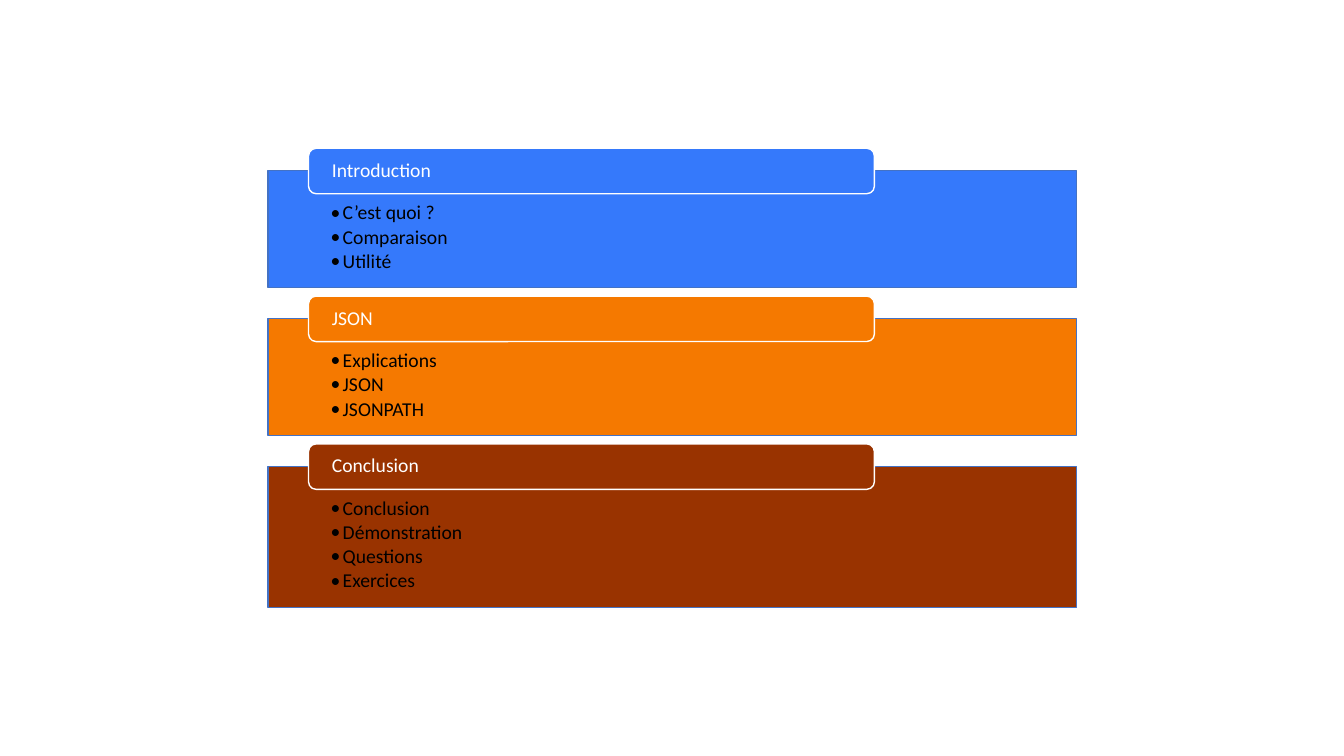
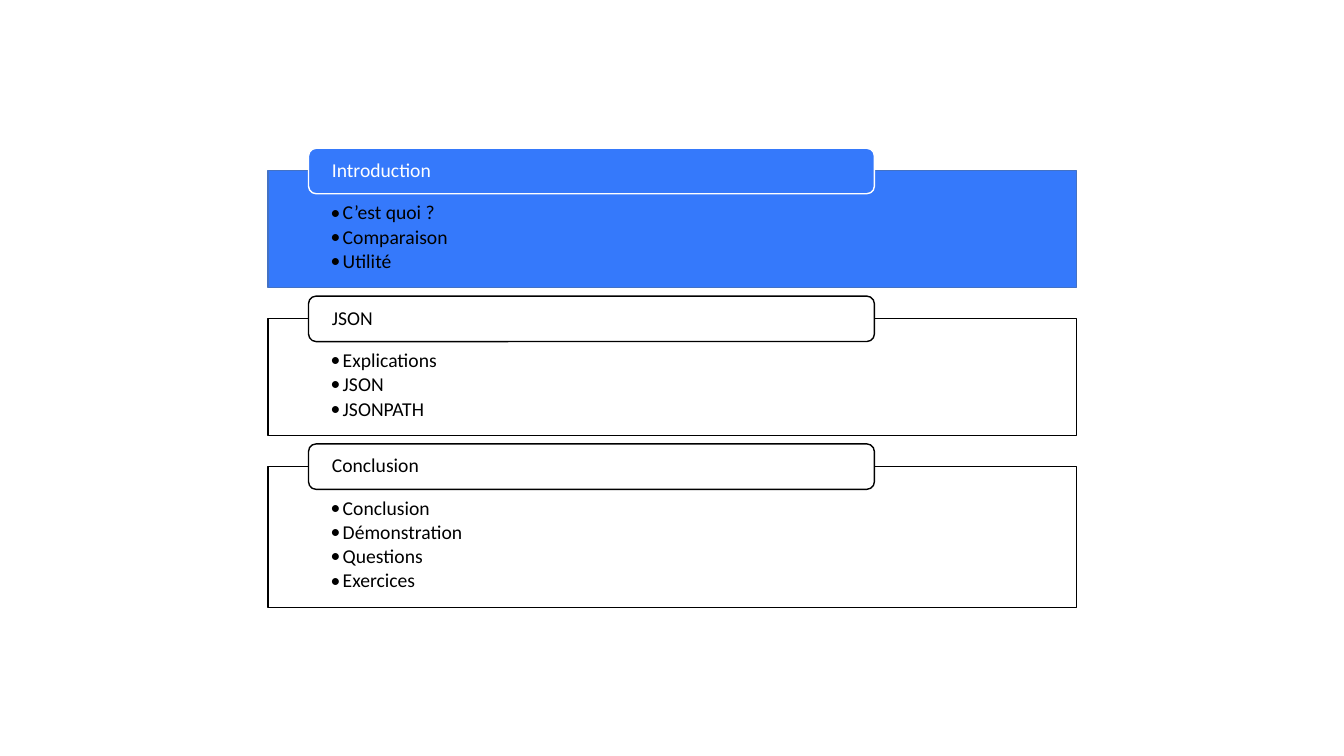
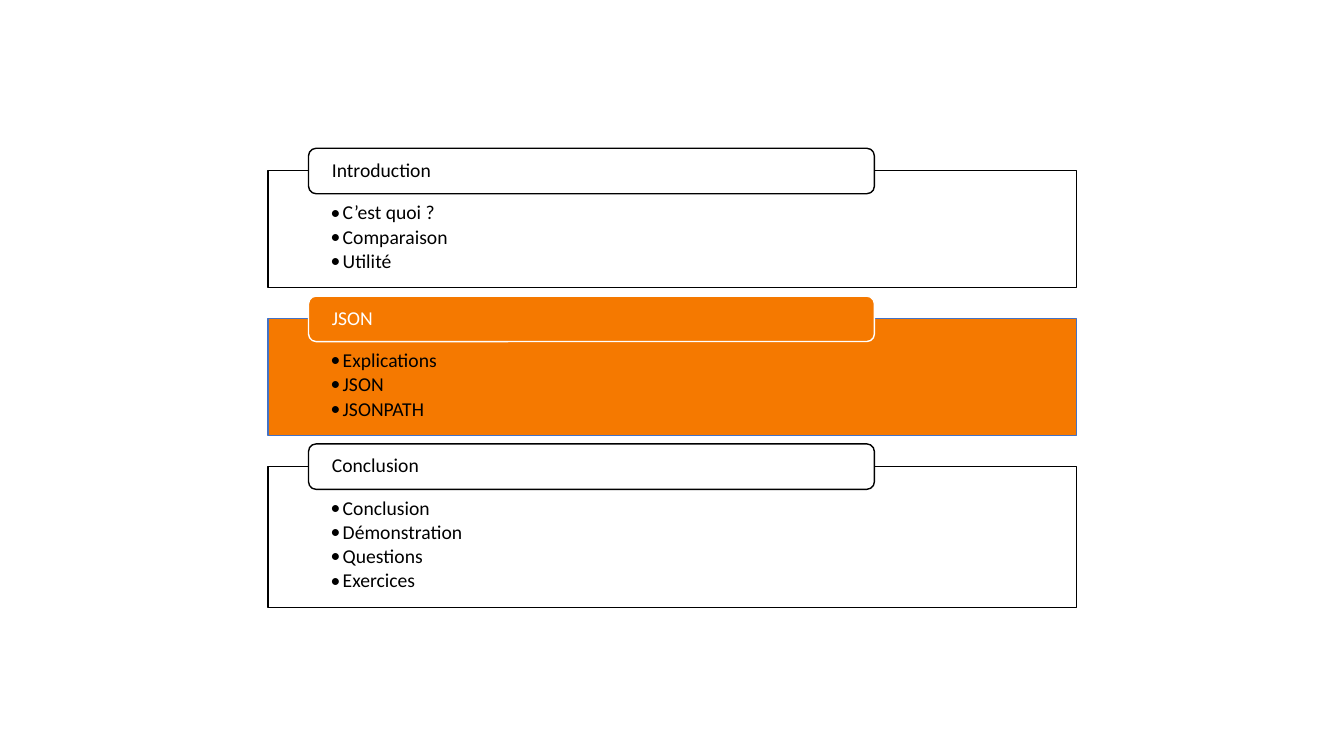
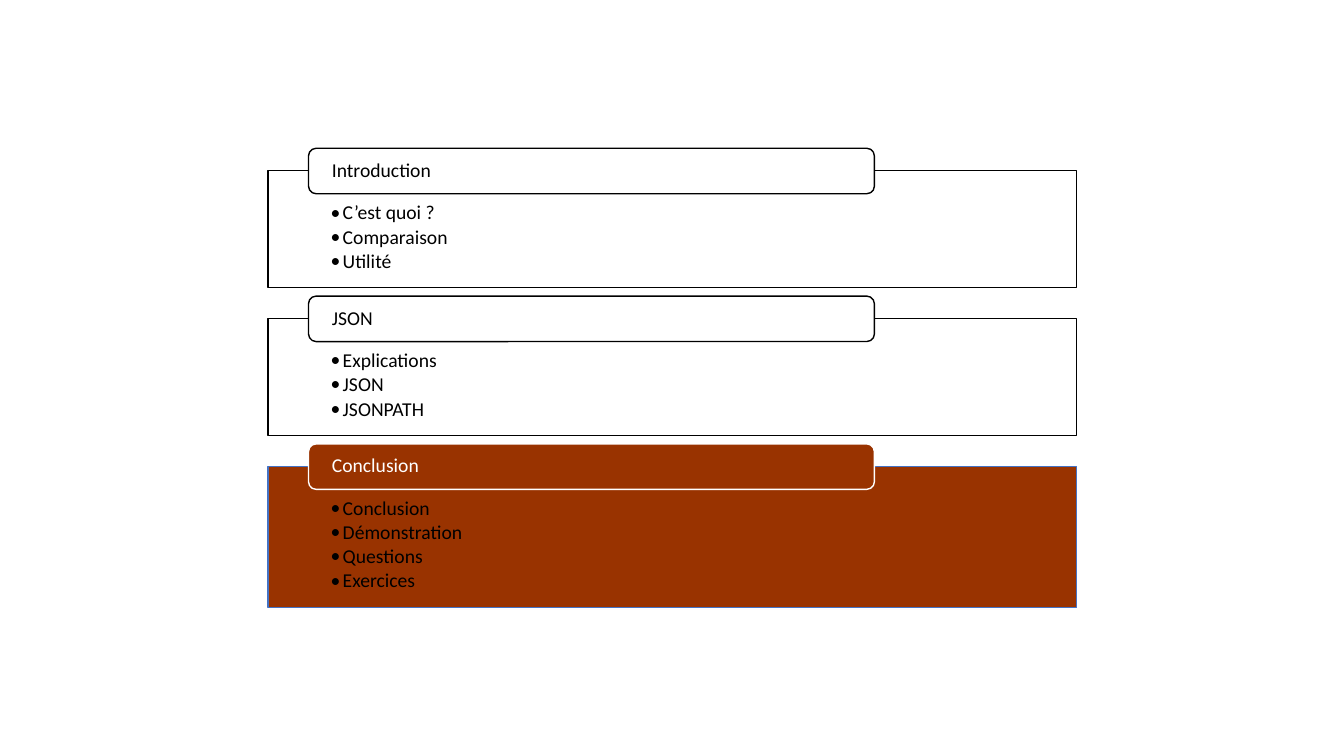
import pptx
import pptx.dml.color
import pptx.enum.shapes
import pptx.enum.text
import pptx.oxml
import pptx.oxml.ns
import pptx.util

COLORS = {
    "blue": "3579FB",
    "orange": "F57900",
    "brown": "993300",
    "edge": "4472C4",
    "white": "FFFFFF",
    "black": "000000",
}
FONT = "Calibri"
SLIDE_WIDTH, SLIDE_HEIGHT = 13.33, 7.5
COLUMN = 0.05 * SLIDE_WIDTH
ROW = 0.032 * SLIDE_HEIGHT
AGENDA_LEFT, AGENDA_WIDTH = 3.99 * COLUMN, 12.03 * COLUMN
AGENDA_TOP = 7.06 * ROW
SECTION_GAP = 1.28 * ROW
BODY_PADDING = 1.83 * ROW
TAB_HEIGHT, TAB_LIFT = 1.88 * ROW, 0.93 * ROW
TAB_INDENT, TAB_SHARE = 0.05, 0.7
BULLET_INDENT = 0.12

SECTIONS = [
    ("Introduction", "blue", ["C’est quoi ?", "Comparaison", "Utilité"]),
    ("JSON", "orange", ["Explications", "JSON", "JSONPATH"]),
    ("Conclusion", "brown", ["Conclusion", "Démonstration", "Questions", "Exercices"]),
]


def rgb(name):
    """Return the named colour of the palette."""
    return pptx.dml.color.RGBColor.from_string(COLORS[name])


def add_panel(slide, kind, box, fill, line):
    """Add a flat filled shape in the box (left, top, width, height) in inches."""
    panel = slide.shapes.add_shape(kind, *(pptx.util.Inches(length) for length in box))
    panel.shadow.inherit = False
    panel.fill.solid()
    panel.fill.fore_color.rgb = rgb(fill)
    panel.line.color.rgb = rgb(line)
    panel.line.width = pptx.util.Pt(1)
    return panel


def add_bullet(paragraph, size):
    """Give the paragraph a round bullet of the text's size with a hanging indent."""
    properties = paragraph._p.get_or_add_pPr()
    indent = pptx.util.Inches(BULLET_INDENT)
    properties.set("marL", str(indent))
    properties.set("indent", str(-indent))
    namespace = pptx.oxml.ns.nsdecls("a")
    for element in (f'buFont {namespace} typeface="{FONT}"', f'buChar {namespace} char="•"'):
        properties.append(pptx.oxml.parse_xml(f"<a:{element}/>"))
    paragraph._p.append(
        pptx.oxml.parse_xml(f'<a:endParaRPr {namespace} sz="{size * 100}"/>')
    )


def write_text(panel, lines, *, color="black", size=14, insets=(0, 0, 0, 0),
               anchor="TOP", after=0, bulleted=False):
    """Write the lines into the panel, one paragraph each."""
    frame = panel.text_frame
    frame.word_wrap = True
    frame.vertical_anchor = getattr(pptx.enum.text.MSO_ANCHOR, anchor)
    frame.margin_left, frame.margin_top, frame.margin_right, frame.margin_bottom = (
        pptx.util.Inches(inset) for inset in insets
    )
    for index, line in enumerate(lines):
        paragraph = frame.add_paragraph() if index else frame.paragraphs[0]
        paragraph.alignment = pptx.enum.text.PP_ALIGN.LEFT
        paragraph.line_spacing = 0.9
        paragraph.space_after = pptx.util.Pt(after)
        run = paragraph.add_run()
        run.text = line
        run.font.name = FONT
        run.font.size = pptx.util.Pt(size)
        run.font.color.rgb = rgb(color)
        if bulleted:
            paragraph.level = 1
            add_bullet(paragraph, size)


def add_section(slide, box, heading, topics, color, active):
    """Draw one agenda section: a body with topics and a heading tab on its top edge."""
    left, top, width, height = box
    fill = color if active else "white"
    shapes = pptx.enum.shapes.MSO_SHAPE
    body = add_panel(slide, shapes.RECTANGLE, box, fill, "edge" if active else "black")
    write_text(body, topics, insets=(0.62, 0.32, 0.62, 0.11), after=2.1, bulleted=True)
    tab_box = (left + TAB_INDENT * width, top - TAB_LIFT, TAB_SHARE * width, TAB_HEIGHT)
    contrast = "white" if active else "black"
    tab = add_panel(slide, shapes.ROUNDED_RECTANGLE, tab_box, fill, contrast)
    write_text(tab, [heading], color=contrast, insets=(0.21, 0, 0.21, 0), anchor="MIDDLE")


def add_agenda(deck, active_headings):
    """Add an agenda slide on which the active sections are coloured."""
    slide = deck.slides.add_slide(deck.slide_layouts.get_by_name("Blank"))
    top = AGENDA_TOP
    for heading, color, topics in SECTIONS:
        height = BODY_PADDING + len(topics) * ROW
        box = (AGENDA_LEFT, top, AGENDA_WIDTH, height)
        add_section(slide, box, heading, topics, color, heading in active_headings)
        top += height + SECTION_GAP


def main():
    """Build the overview and one agenda slide for each section."""
    deck = pptx.Presentation()
    deck.slide_width = pptx.util.Inches(SLIDE_WIDTH)
    deck.slide_height = pptx.util.Inches(SLIDE_HEIGHT)
    headings = [heading for heading, _, _ in SECTIONS]
    for active_headings in [headings, *([heading] for heading in headings)]:
        add_agenda(deck, active_headings)
    deck.save("out.pptx")


if __name__ == "__main__":
    main()
